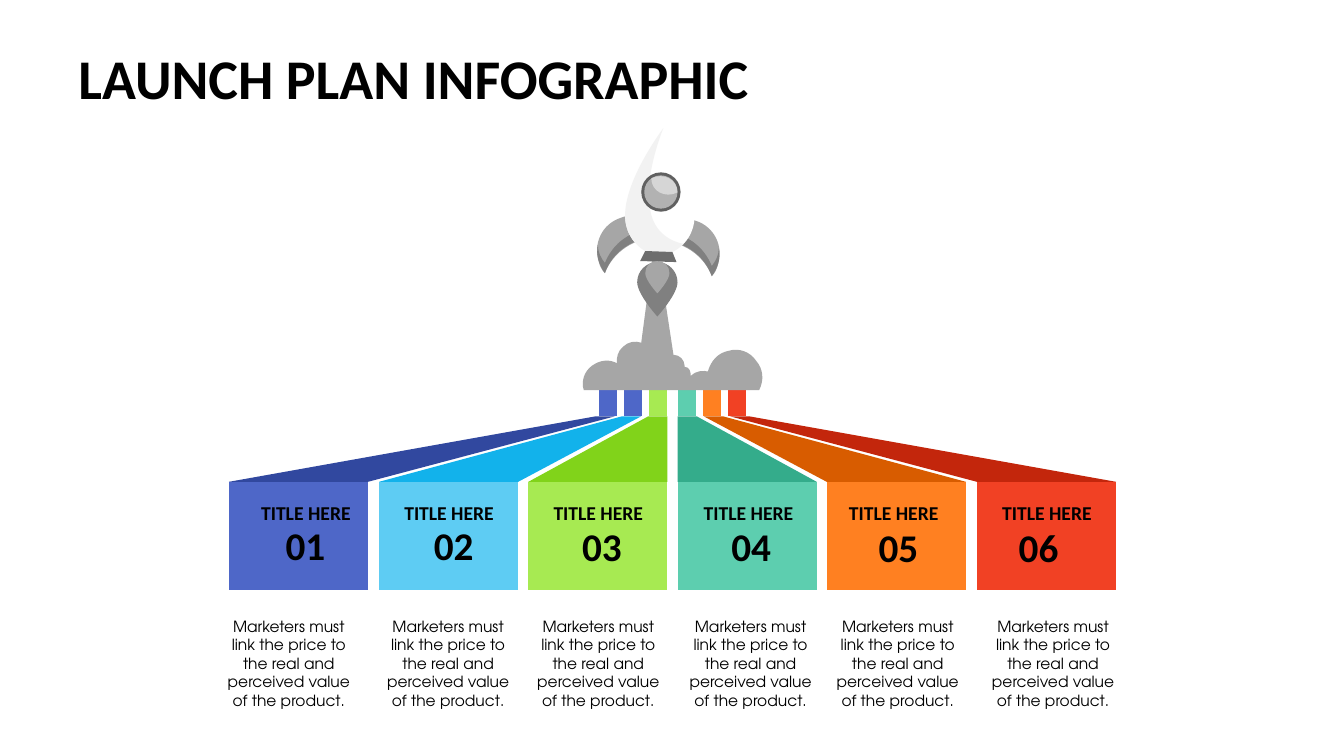
from dataclasses import dataclass
from math import ceil, cos, radians, sin, tan
from typing import NamedTuple

from lxml.etree import SubElement
from pptx import Presentation
from pptx.dml.color import RGBColor as Rgb
from pptx.enum.shapes import MSO_SHAPE as Preset
from pptx.enum.text import MSO_AUTO_SIZE as AutoSize, PP_ALIGN as Align
from pptx.oxml.ns import qn
from pptx.shapes.autoshape import Shape
from pptx.shapes.shapetree import GroupShapes, SlideShapes
from pptx.util import Emu, Pt

PX = 9144
Canvas = SlideShapes | GroupShapes
Point = tuple[int, int]
Edge = tuple[Point, ...]


def px(length: int) -> Emu:
    return Emu(length * PX)


@dataclass(frozen=True)
class Theme:
    heading_font: str = "Calibri"
    note_font: str = "TeX Gyre Adventor"
    headline_size: int = 40
    number_size: int = 28
    title_size: int = 14
    note_size: int = 11
    ink: str = "000000"
    white: str = "FFFFFF"
    hull_shade: str = "F2F2F2"
    smoke: str = "A6A6A6"
    flame: str = "808080"
    nozzle: str = "6D6D6D"
    window_rim: str = "606060"
    glass: str = "B2B2B2"
    glint: str = "D6D6D6"
    stems: tuple[str, ...] = ("4E67C8", "4E67C8", "A7EA52", "5DCEAF", "FF8021", "F14124")
    beams: tuple[str, ...] = ("31489F", "12B2EB", "81D31A", "34AC8B", "D85C00", "C3260C")
    boxes: tuple[str, ...] = ("4E67C8", "5ECCF3", "A7EA52", "5DCEAF", "FF8021", "F14124")


THEME = Theme()


class Style(NamedTuple):
    size: int
    font: str
    bold: bool = True
    align: Align = Align.CENTER
    wrap: bool = True


class Row(NamedTuple):
    gap: int
    pitch: float
    width: int


class Shift(NamedTuple):
    title: int
    number: int
    note: int


class Puff(NamedTuple):
    x: int
    y: int
    radius: int
    start: int
    end: int


HEADLINE = Style(THEME.headline_size, THEME.heading_font, align=Align.LEFT, wrap=False)
NUMBER = Style(THEME.number_size, THEME.heading_font, wrap=False)
TITLE = Style(THEME.title_size, THEME.heading_font)
NOTE = Style(THEME.note_size, THEME.note_font, bold=False)
NOTE_TEXT = "Marketers must link the price to the real and perceived value of the product."

AXIS = 667
STEM_ROW, BEAM_ROW, BOX_ROW = Row(5, 25, 18), Row(5, 26, 19), Row(5, 148.4, 138)
STEM_TOP, BEAM_TOP, BOX_TOP, BOX_BOTTOM = 299, 413, 478, 585
TEXT_SHIFTS = (Shift(7, 7, -10), Shift(0, 5, -1), Shift(0, 4, 0),
               Shift(1, 4, 3), Shift(-3, 2, 1), Shift(0, -8, 6))

PUFFS_BEFORE_PLUME = (Puff(601, 381, 23, 165, 301), Puff(630, 357, 18, 167, 289))
PLUME_TIP = (650, 234)
PUFFS_AFTER_PLUME = (Puff(668, 363, 11, 270, 360), Puff(678, 371, 7, 278, 376),
                     Puff(698, 387, 19, 227, 288), Puff(729, 374, 27, 191, 388))

ROCKET_AXIS, RIGHT_FIN_DROP = 653, 3
NOSE, PORT, TAIL, STARBOARD = (658, 127), (620, 212), (653, 255), (689, 214)


def paint(shape: Shape, color: str) -> None:
    shape.shadow.inherit = False
    shape.fill.solid()
    shape.fill.fore_color.rgb = Rgb.from_string(color)
    shape.line.fill.background()


def draw_outline(canvas: Canvas, color: str, start: Point, edges: list[Edge]) -> None:
    builder = canvas.build_freeform(*start, scale=float(PX))
    builder.add_line_segments([point for edge in edges for point in edge], close=True)
    shape = builder.convert_to_shape()
    contour = next(shape._element.spPr.iter(qn("a:path")))
    lines = iter(contour.findall(qn("a:lnTo")))
    for edge in edges:
        stretch = [next(lines) for _ in edge]
        if len(edge) == 3:
            curve = SubElement(contour, qn("a:cubicBezTo"))
            stretch[0].addprevious(curve)
            for line in stretch:
                curve.append(line[0])
                contour.remove(line)
    paint(shape, color)


def draw_polygon(canvas: Canvas, color: str, *corners: Point) -> None:
    draw_outline(canvas, color, corners[0], [(corner,) for corner in corners[1:]])


def draw_circle(canvas: Canvas, color: str, x: int, y: int, size: int) -> None:
    paint(canvas.add_shape(Preset.OVAL, px(x), px(y), px(size), px(size)), color)


def arc(puff: Puff) -> list[Edge]:
    def at(angle: float, along: float = 0) -> Point:
        return (round(puff.x + puff.radius * (cos(angle) - along * sin(angle))),
                round(puff.y + puff.radius * (sin(angle) + along * cos(angle))))

    first, sweep = radians(puff.start), radians(puff.end - puff.start)
    pieces = ceil((puff.end - puff.start) / 90)
    turn = sweep / pieces
    reach = 4 / 3 * tan(turn / 4)
    edges: list[Edge] = [(at(first),)]
    for i in range(pieces):
        a, b = first + i * turn, first + (i + 1) * turn
        edges.append((at(a, reach), at(b, -reach), at(b)))
    return edges


def draw_smoke(canvas: Canvas) -> None:
    edges = [edge for puff in PUFFS_BEFORE_PLUME for edge in arc(puff)]
    edges.append((PLUME_TIP,))
    edges += [edge for puff in PUFFS_AFTER_PLUME for edge in arc(puff)]
    draw_outline(canvas, THEME.smoke, edges[0][0], edges[1:])


def draw_flame(canvas: Canvas, color: str, x: int, y: int, radius: int, tip_y: int) -> None:
    tip, shoulder = (x, tip_y), y + round(0.6 * radius)
    left, right = (x - radius, y), (x + radius, y)
    edges = arc(Puff(x, y, radius, 180, 360))
    edges += [((right[0], shoulder), tip, tip), (tip, (left[0], shoulder), left)]
    draw_outline(canvas, color, left, edges)


def draw_fins(canvas: Canvas) -> None:
    root, top, side, tip = (652, 236), (616, 216), (594, 260), (600, 271)
    fin = [((661, 238), (661, 238), (661, 238)), ((654, 219), (634, 209), top),
           ((597, 222), (588, 242), side), ((595, 264), (597, 268), tip),
           ((608, 250), (629, 236), root)]
    underside = [((607, 251), (626, 237), (647, 236)), ((648, 227),),
                 ((626, 228), (608, 241), (600, 261)),
                 ((596, 256), (593, 250), (593, 243)), ((591, 253), (594, 263), tip)]

    def mirror(point: Point) -> Point:
        return 2 * ROCKET_AXIS - point[0], point[1] + RIGHT_FIN_DROP

    for color, start, edges in ((THEME.smoke, root, fin), (THEME.flame, tip, underside)):
        draw_outline(canvas, color, start, edges)
        draw_outline(canvas, color, mirror(start),
                     [tuple(mirror(point) for point in edge) for edge in edges])


def draw_rocket(canvas: Canvas) -> None:
    draw_fins(canvas)
    port_side = [(NOSE, (621, 176), PORT), ((619, 247), TAIL, TAIL)]
    starboard_side = [(TAIL, (688, 250), STARBOARD), ((691, 179), NOSE, NOSE)]
    shade_edge = [((662, 253), (671, 249), (678, 242)),
                  ((667, 240), (649, 232), (645, 209)), ((639, 183), (651, 144), NOSE)]
    draw_outline(canvas, THEME.white, NOSE, port_side + starboard_side)
    draw_outline(canvas, THEME.hull_shade, NOSE, port_side + shade_edge)
    draw_polygon(canvas, THEME.nozzle, (671, 260), (635, 259), (640, 249), (667, 250))
    draw_circle(canvas, THEME.window_rim, 636, 171, 39)
    draw_circle(canvas, THEME.glass, 639, 174, 33)
    glint_left, glint_right = (646, 177), (672, 191)
    draw_outline(canvas, THEME.glint, glint_left,
                 [((646, 190), (660, 197), glint_right), ((672, 178), (658, 171), glint_left)])
    draw_flame(canvas, THEME.flame, x=652, y=280, radius=20, tip_y=314)
    draw_flame(canvas, THEME.smoke, x=652, y=271, radius=12, tip_y=291)


def span(row: Row, column: int) -> Point:
    half = len(TEXT_SHIFTS) // 2
    on_right = column >= half
    near = row.gap + round(row.pitch * (column - half if on_right else half - 1 - column))
    left = AXIS + near if on_right else AXIS - near - row.width
    return left, left + row.width


def draw_band(canvas: Canvas, color: str, upper: Point, top: int, lower: Point, bottom: int) -> None:
    draw_polygon(canvas, color, (upper[0], top), (upper[1], top), (lower[1], bottom), (lower[0], bottom))


def write(canvas: Canvas, text: str, style: Style, center: int, top: int, width: int, height: int) -> None:
    frame = canvas.add_textbox(px(center - width // 2), px(top), px(width), px(height)).text_frame
    frame.word_wrap = style.wrap
    frame.auto_size = AutoSize.SHAPE_TO_FIT_TEXT
    frame.text = text
    paragraph = frame.paragraphs[0]
    paragraph.alignment = style.align
    font = paragraph.runs[0].font
    font.name, font.size, font.bold = style.font, Pt(style.size), style.bold
    font.color.rgb = Rgb.from_string(THEME.ink)


def draw_step(canvas: Canvas, column: int, shift: Shift) -> None:
    stem, beam, box = (span(row, column) for row in (STEM_ROW, BEAM_ROW, BOX_ROW))
    draw_band(canvas, THEME.stems[column], stem, STEM_TOP, stem, BEAM_TOP)
    draw_band(canvas, THEME.beams[column], beam, BEAM_TOP, box, BOX_TOP)
    draw_band(canvas, THEME.boxes[column], box, BOX_TOP, box, BOX_BOTTOM)
    center = sum(box) // 2
    write(canvas, f"{column + 1:02}", NUMBER, center + shift.number, 512 + column // 2, 62, 57)
    write(canvas, "TITLE HERE", TITLE, center + shift.title, 492, 113, 34)
    write(canvas, NOTE_TEXT, NOTE, center + shift.note, 607, 155, 103)


def main() -> None:
    deck = Presentation()
    deck.slide_width, deck.slide_height = px(1333), px(750)
    shapes = deck.slides.add_slide(deck.slide_layouts[6]).shapes
    for column, shift in enumerate(TEXT_SHIFTS):
        draw_step(shapes, column, shift)
    paint(shapes.add_shape(Preset.RECTANGLE, px(578), px(258), px(178), px(117)), THEME.white)
    draw_smoke(shapes)
    draw_rocket(shapes.add_group_shape().shapes)
    write(shapes, "LAUNCH PLAN INFOGRAPHIC", HEADLINE, 432, 38, 728, 77)
    deck.save("out.pptx")


if __name__ == "__main__":
    main()
